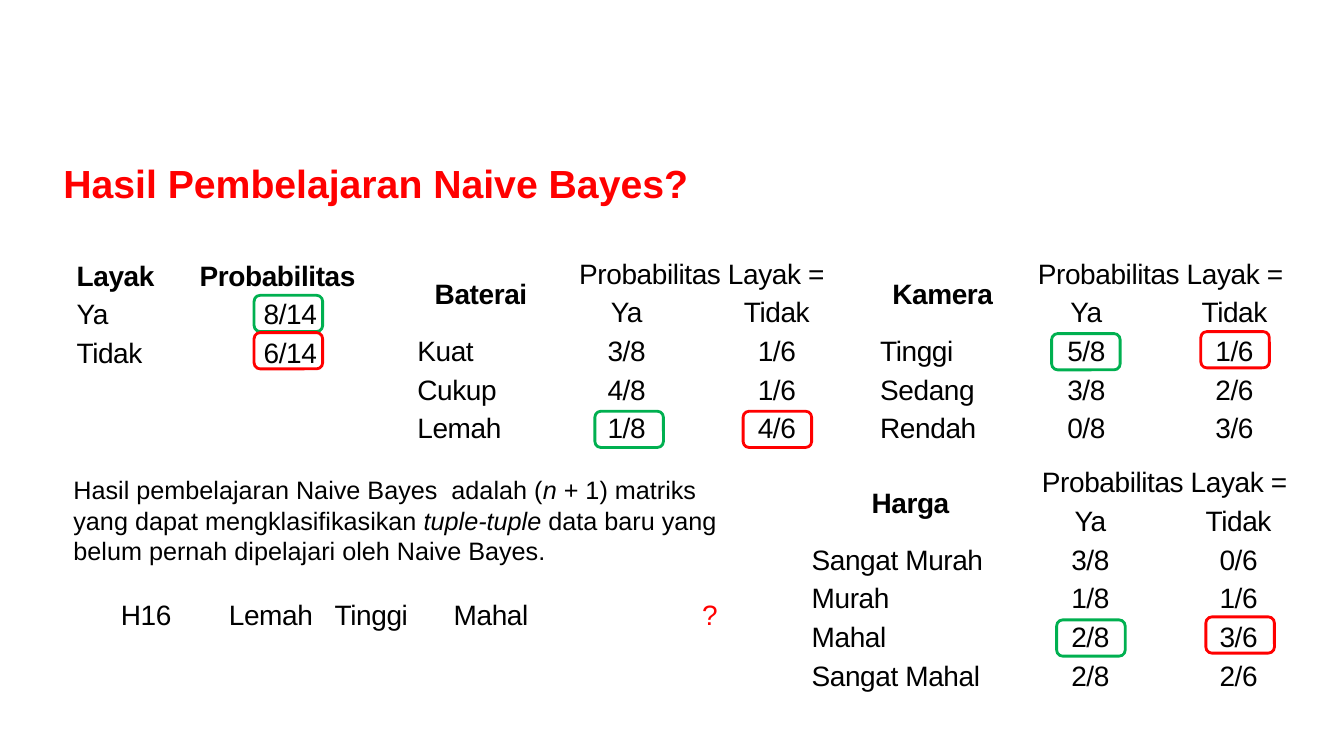
from dataclasses import dataclass

from pptx import Presentation
from pptx.dml.color import RGBColor
from pptx.enum.shapes import MSO_SHAPE
from pptx.enum.text import MSO_ANCHOR, PP_ALIGN
from pptx.util import Emu, Pt

LEFT, CENTER, JUSTIFY = PP_ALIGN.LEFT, PP_ALIGN.CENTER, PP_ALIGN.JUSTIFY
TOP, MIDDLE = MSO_ANCHOR.TOP, MSO_ANCHOR.MIDDLE
ROUNDED = MSO_SHAPE.ROUNDED_RECTANGLE
EMU_PER_PX = 9144  # 100 px to the inch
BLANK_LAYOUT = 6
ROW_HEIGHT = 38


@dataclass(frozen=True)
class Theme:
    font: str = "Arial"
    black: RGBColor = RGBColor(0x00, 0x00, 0x00)
    red: RGBColor = RGBColor(0xFF, 0x00, 0x00)
    green: RGBColor = RGBColor(0x00, 0xB0, 0x50)
    title_size: int = 28
    table_size: int = 20
    body_size: int = 18
    outline_width: int = 2
    table_spacing: float = 1.15
    letter_spacing: int = -30  # hundredths of a point


def px(length):
    return Emu(length * EMU_PER_PX)


class SlideBuilder:
    def __init__(self, slide, theme):
        self.slide = slide
        self.theme = theme

    def add_run(self, paragraph, text, size, color=None, bold=False, italic=False):
        run = paragraph.add_run()
        run.text = text
        font = run.font
        font.name = self.theme.font
        font.size = Pt(size)
        font.bold = bold
        font.italic = italic
        font.color.rgb = color or self.theme.black
        return run

    def text_box(self, box, anchor=TOP):
        """Add a wrapping text box and return its first paragraph."""
        frame = self.slide.shapes.add_textbox(*map(px, box)).text_frame
        frame.word_wrap = True
        frame.vertical_anchor = anchor
        return frame.paragraphs[0]

    def title(self, text, box):
        paragraph = self.text_box(box, MIDDLE)
        self.add_run(paragraph, text, self.theme.title_size, self.theme.red, bold=True)

    def body(self, pieces, box):
        """Add one paragraph from (text, italic) pieces."""
        paragraph = self.text_box(box)
        for text, italic in pieces:
            self.add_run(paragraph, text, self.theme.body_size, italic=italic)

    def table(self, left, top, widths, heights):
        """Add a plain table without fills or cell padding above and below."""
        frame = self.slide.shapes.add_table(
            len(heights), len(widths),
            px(left), px(top), px(sum(widths)), px(sum(heights)))
        table = frame.table
        table.first_row = table.horz_banding = False
        for column, width in zip(table.columns, widths):
            column.width = px(width)
        for row, height in zip(table.rows, heights):
            row.height = px(height)
        for cell in table.iter_cells():
            cell.fill.background()
            cell.margin_left = cell.margin_right = px(7)
            cell.margin_top = cell.margin_bottom = 0
        return table

    def write_cell(self, cell, text, align=CENTER, bold=False, color=None):
        paragraph = cell.text_frame.paragraphs[0]
        paragraph.alignment = align
        paragraph.line_spacing = self.theme.table_spacing
        run = self.add_run(paragraph, text, self.theme.table_size, color, bold)
        run.font._element.set("spc", str(self.theme.letter_spacing))

    def class_table(self, left, top, rows):
        """Add the table of prior probabilities, with a bold header row."""
        table = self.table(left, top, (122, 194), (ROW_HEIGHT, 23, ROW_HEIGHT))
        for row_index, (label, value) in enumerate(rows):
            header = row_index == 0
            self.write_cell(table.cell(row_index, 0), label, LEFT, header)
            self.write_cell(table.cell(row_index, 1), value,
                            LEFT if header else CENTER, header)

    def attribute_table(self, left, top, widths, attribute, rows):
        """Add a table of conditional probabilities under a two-row header."""
        table = self.table(left, top, widths, [ROW_HEIGHT] * (len(rows) + 2))
        corner, heading = table.cell(0, 0), table.cell(0, 1)
        corner.merge(table.cell(1, 0))
        heading.merge(table.cell(0, 2))
        corner.vertical_anchor = MIDDLE
        self.write_cell(corner, attribute, bold=True)
        self.write_cell(heading, "Probabilitas Layak =")
        for column_index, label in enumerate(("Ya", "Tidak"), start=1):
            self.write_cell(table.cell(1, column_index), label)
        for row_index, (label, *values) in enumerate(rows, start=2):
            self.write_cell(table.cell(row_index, 0), label, JUSTIFY)
            for column_index, value in enumerate(values, start=1):
                self.write_cell(table.cell(row_index, column_index), value)

    def sample_row(self, left, top, widths, values):
        """Add the unclassified sample, ending in a red unknown class."""
        table = self.table(left, top, widths, [ROW_HEIGHT])
        last = len(values) - 1
        for index, value in enumerate(values):
            self.write_cell(table.cell(0, index), value,
                            CENTER if index in (0, last) else JUSTIFY,
                            color=self.theme.red if index == last else None)

    def highlight(self, left, top, color):
        shape = self.slide.shapes.add_shape(
            ROUNDED, px(left), px(top), px(68), px(36))
        shape.shadow.inherit = False
        shape.fill.background()
        shape.line.color.rgb = color
        shape.line.width = Pt(self.theme.outline_width)


def main():
    presentation = Presentation()
    presentation.slide_width, presentation.slide_height = px(1333), px(750)
    slide = presentation.slides.add_slide(presentation.slide_layouts[BLANK_LAYOUT])
    theme = Theme()
    builder = SlideBuilder(slide, theme)

    builder.title("Hasil Pembelajaran Naive Bayes?", (53, 146, 1214, 70))
    builder.class_table(69, 254, [
        ("Layak", "Probabilitas"), ("Ya", "8/14"), ("Tidak", "6/14")])
    builder.attribute_table(407, 252, (140, 149, 149), "Baterai", [
        ("Kuat", "3/8", "1/6"),
        ("Cukup", "4/8", "1/6"),
        ("Lemah", "1/8", "4/6")])
    builder.attribute_table(866, 252, (138, 147, 147), "Kamera", [
        ("Tinggi", "5/8", "1/6"),
        ("Sedang", "3/8", "2/6"),
        ("Rendah", "0/8", "3/6")])
    builder.attribute_table(798, 459, (210, 147, 147), "Harga", [
        ("Sangat Murah", "3/8", "0/6"),
        ("Murah", "1/8", "1/6"),
        ("Mahal", "2/8", "3/6"),
        ("Sangat Mahal", "2/8", "2/6")])
    builder.sample_row(70, 591, (150, 105, 118, 200, 122),
                       ("H16", "Lemah", "Tinggi", "Mahal", "?"))
    builder.body([
        ("Hasil pembelajaran Naive Bayes  adalah (", False),
        ("n ", True),
        ("+ 1) matriks yang dapat mengklasifikasikan ", False),
        ("tuple-tuple", True),
        (" data baru yang belum pernah dipelajari oleh Naive Bayes.", False),
    ], (63, 466, 667, 101))

    highlights = {
        theme.green: [(590, 408), (1043, 331), (1048, 615), (252, 293)],
        theme.red: [(737, 408), (1191, 329), (1196, 612), (252, 330)],
    }
    for color, corners in highlights.items():
        for left, top in corners:
            builder.highlight(left, top, color)

    presentation.save("out.pptx")


if __name__ == "__main__":
    main()
